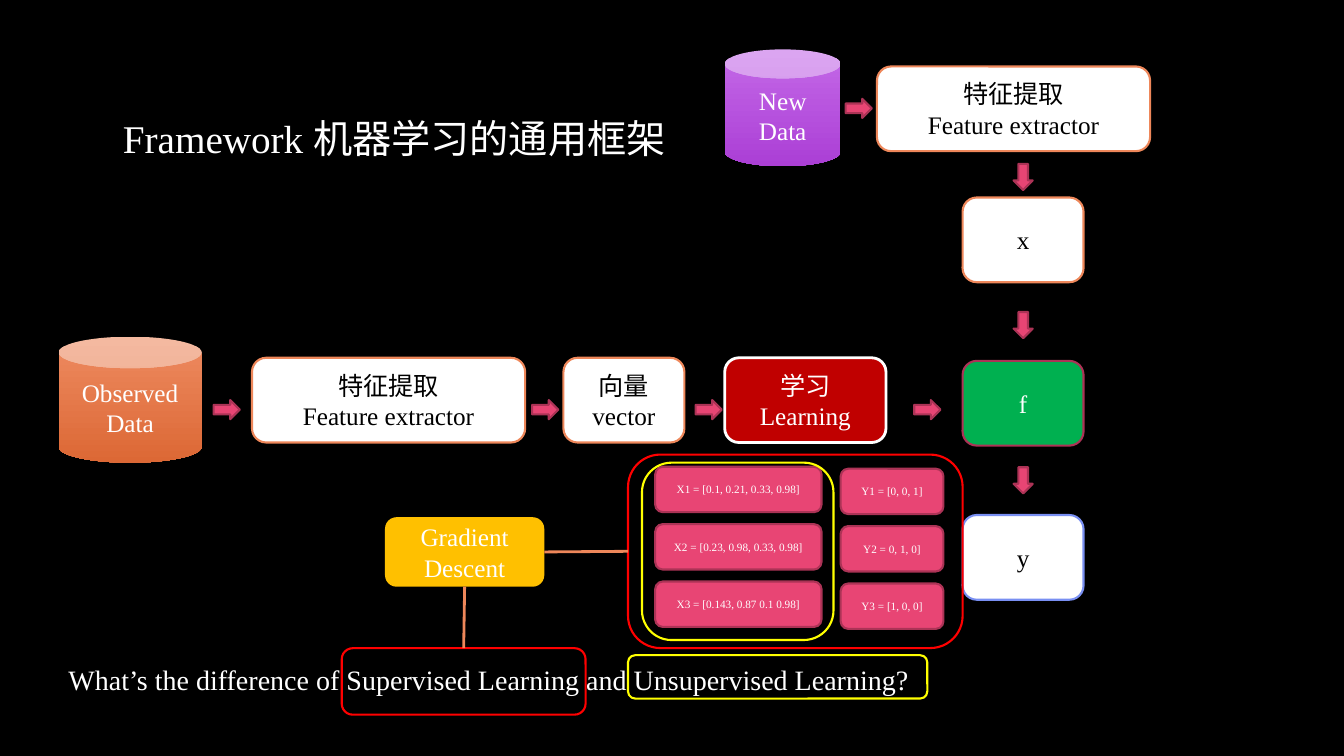
from itertools import groupby

from lxml import etree
from pptx import Presentation
from pptx import util as u
from pptx.dml.color import RGBColor
from pptx.enum import shapes, text
from pptx.oxml import ns

Pt = u.Pt
BLACK = RGBColor(0x00, 0x00, 0x00)
WHITE = RGBColor(0xFF, 0xFF, 0xFF)
ORANGE = RGBColor(0xEE, 0x87, 0x5A)
PINK = RGBColor(0xE8, 0x45, 0x74)
PLUM = RGBColor(0xAC, 0x33, 0x56)
DARK_RED = RGBColor(0xC0, 0x00, 0x00)
RED = RGBColor(0xFF, 0x00, 0x00)
GREEN = RGBColor(0x00, 0xB0, 0x50)
BLUE = RGBColor(0x79, 0x8F, 0xF2)
YELLOW = RGBColor(0xFF, 0xFF, 0x00)
AMBER = RGBColor(0xFF, 0xC0, 0x00)
ORANGE_FADE = (RGBColor(0xEE, 0x8B, 0x61), RGBColor(0xDC, 0x68, 0x35))
PURPLE_FADE = (RGBColor(0xC4, 0x69, 0xE8), RGBColor(0xAB, 0x3F, 0xD5))

LATIN, CHINESE = "Times New Roman", "Noto Sans CJK SC"
ROUND = shapes.MSO_SHAPE.ROUNDED_RECTANGLE
CAN = shapes.MSO_SHAPE.CAN
ARROW = shapes.MSO_SHAPE.RIGHT_ARROW
STEP_HEIGHT, EXTRACTOR_WIDTH, SMALL_WIDTH = 60.5, 195.1, 86.4
EXTRACTOR = "特征提取\nFeature extractor"


def is_chinese(char):
    return "一" <= char <= "龥"


def write(frame, words, size=18, color=WHITE, align=text.PP_ALIGN.CENTER,
          anchor=text.MSO_ANCHOR.MIDDLE, wrap=True):
    """Fill a frame, giving each script its own font."""
    frame.word_wrap = wrap
    frame.auto_size = text.MSO_AUTO_SIZE.NONE
    frame.vertical_anchor = anchor
    for index, line in enumerate(words.split("\n")):
        para = frame.paragraphs[0] if index == 0 else frame.add_paragraph()
        para.alignment = align
        for chinese, chars in groupby(line, is_chinese):
            span = para.add_run()
            span.text = "".join(chars)
            span.font.name = CHINESE if chinese else LATIN
            span.font.size = Pt(size)
            span.font.color.rgb = color
            if chinese:
                east = etree.SubElement(span.font._element, ns.qn("a:ea"))
                east.set("typeface", CHINESE)


def add_box(page, left, top, width, height, words="", kind=ROUND, fill=None,
            line=None, weight=1.5, **style):
    box = page.shapes.add_shape(kind, Pt(left), Pt(top), Pt(width), Pt(height))
    box.shadow.inherit = False
    if fill is None:
        box.fill.background()
    elif isinstance(fill, RGBColor):
        box.fill.solid()
        box.fill.fore_color.rgb = fill
    else:
        box.fill.gradient()
        box.fill.gradient_angle = 270
        for stop, color in zip(box.fill.gradient_stops, fill):
            stop.color.rgb = color
    if line is None:
        box.line.fill.background()
    else:
        box.line.color.rgb = line
        box.line.width = Pt(weight)
    if words:
        write(box.text_frame, words, **style)
    return box


def add_step(page, left, top, width, words, fill=WHITE, line=ORANGE,
             color=BLACK, weight=1.5):
    add_box(page, left, top, width, STEP_HEIGHT, words, fill=fill, line=line,
            color=color, weight=weight)


def add_arrow(page, center_x, center_y, rotation=0):
    width, height = 18.7, 13.7
    arrow = add_box(page, center_x - width / 2, center_y - height / 2, width,
                    height, kind=ARROW, fill=PINK, line=PLUM)
    arrow.rotation = rotation


def add_title(page, left, top, width, height):
    title = page.shapes.title
    title.left, title.top = Pt(left), Pt(top)
    title.width, title.height = Pt(width), Pt(height)
    write(title.text_frame, "Framework 机器学习的通用框架", size=28,
          align=text.PP_ALIGN.LEFT, anchor=text.MSO_ANCHOR.TOP)


def add_training_row(page, left, top):
    """Observed data through to learning."""
    add_box(page, left, top, 102.2, 90, "Observed\nData", kind=CAN,
            fill=ORANGE_FADE)
    step_top = top + 15.1
    add_step(page, left + 138.2, step_top, EXTRACTOR_WIDTH, EXTRACTOR)
    add_step(page, left + 360.7, step_top, SMALL_WIDTH, "向量\nvector")
    add_step(page, left + 475.9, step_top, 115.2, "学习\nLearning",
             fill=DARK_RED, line=WHITE, color=WHITE, weight=2)
    for offset in (120.2, 347.7, 464.4, 620.6):
        add_arrow(page, left + offset, top + 52.1)


def add_prediction_column(page, left, top):
    """New data through x and f down to y."""
    add_box(page, left, top, 82.8, 83.5, "New\nData", kind=CAN,
            fill=PURPLE_FADE)
    add_arrow(page, left + 95.7, top + 42.1)
    add_step(page, left + 108.7, top + 12.2, EXTRACTOR_WIDTH, EXTRACTOR)
    column = left + 169.9
    add_step(page, column, top + 105.8, SMALL_WIDTH, "x")
    add_step(page, column, top + 222.5, SMALL_WIDTH, "f", fill=GREEN,
             line=PLUM, color=WHITE)
    add_step(page, column, top + 332.6, SMALL_WIDTH, "y", line=BLUE)
    for offset in (91.1, 196.9, 307.8):
        add_arrow(page, column + SMALL_WIDTH / 2, top + offset, rotation=90)


def add_samples(page, left, top, width, height):
    """Feature vectors and labels; returns the frame around both."""
    columns = (
        (19.4, 8.7, 118.8, ("X1 = [0.1, 0.21, 0.33, 0.98]",
                            "X2 = [0.23, 0.98, 0.33, 0.98]",
                            "X3 = [0.143, 0.87 0.1 0.98]")),
        (151.9, 10.1, 73.4, ("Y1 = [0, 0, 1]", "Y2 = 0, 1, 0]",
                             "Y3 = [1, 0, 0]")),
    )
    for dx, dy, cell_width, samples in columns:
        for row, sample in enumerate(samples):
            add_box(page, left + dx, top + dy + row * 41, cell_width, 32.4,
                    sample, fill=PINK, line=PLUM, size=8)
    frame = add_box(page, left, top, width, height, line=RED)
    add_box(page, left + 10, top + 5.8, 136.8, 126.7, line=YELLOW)
    return frame


def add_question(page, left, top, width, height):
    """Closing question; returns the frame on supervised learning."""
    box = page.shapes.add_textbox(Pt(left), Pt(top), Pt(width), Pt(height))
    write(box.text_frame, "What’s the difference of Supervised Learning "
          "and Unsupervised Learning?", size=20, align=text.PP_ALIGN.LEFT,
          anchor=text.MSO_ANCHOR.TOP, wrap=False)
    frame = add_box(page, left + 202.3, top - 6.4, 174.2, 47.5, line=RED)
    add_box(page, left + 406.8, top - 1.4, 213.8, 31, line=YELLOW)
    return frame


def join(page, start, start_side, end, end_side):
    link = page.shapes.add_connector(shapes.MSO_CONNECTOR.STRAIGHT, 0, 0, 0, 0)
    link.begin_connect(start, start_side)
    link.end_connect(end, end_side)
    link.line.color.rgb = ORANGE
    link.line.width = Pt(2)
    etree.SubElement(link._element.spPr, ns.qn("a:effectLst"))


def build_framework(page):
    page.background.fill.solid()
    page.background.fill.fore_color.rgb = BLACK
    add_title(page, 80.6, 77.8, 407.5, 41)
    add_training_row(page, 41.8, 240.5)
    add_prediction_column(page, 517.7, 35.3)
    sample_frame = add_samples(page, 448.6, 324.7, 239, 138.2)
    question_frame = add_question(page, 41.8, 469.4, 619.2, 31.7)

    # Gradient descent and its links
    descent = add_box(page, 275, 369.4, 113.8, 49.7, "Gradient Descent",
                      fill=AMBER)
    join(page, descent, 3, sample_frame, 1)
    join(page, descent, 2, question_frame, 0)


def main():
    deck = Presentation()
    deck.slide_width, deck.slide_height = Pt(960), Pt(540)
    build_framework(deck.slides.add_slide(deck.slide_layouts[5]))
    deck.save("out.pptx")


if __name__ == "__main__":
    main()
